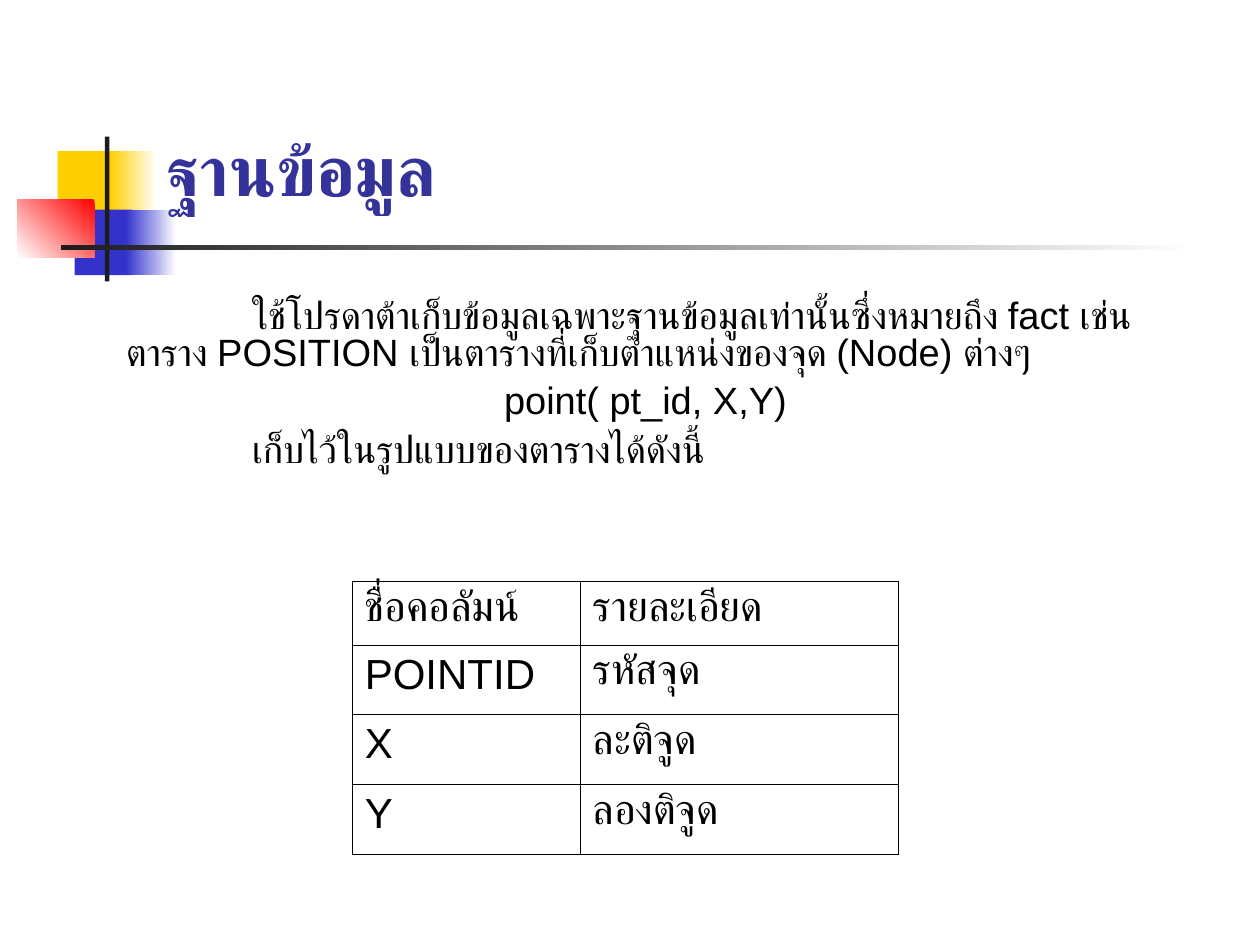
from lxml import etree
from pptx import Presentation
from pptx.dml.color import RGBColor
from pptx.enum import shapes, text
from pptx.oxml import ns
from pptx.util import Pt

WHITE = RGBColor(0xFF, 0xFF, 0xFF)
BLACK = RGBColor(0, 0, 0)
YELLOW = RGBColor(0xFF, 0xCF, 0x01)
BLUE = RGBColor(0x33, 0x33, 0xCC)
RED = RGBColor(0xFF, 0, 0)
DARK = RGBColor(0x1C, 0x1C, 0x1C)
NAVY = RGBColor(0x33, 0x33, 0x99)

BODY = [
    "\tใช้โปรดาต้าเก็บข้อมูลเฉพาะฐานข้อมูลเท่านั้นซึ่งหมายถึง fact เช่น "
    "ตาราง POSITION เป็นตารางที่เก็บตำแหน่งของจุด (Node) ต่างๆ",
    "\t\t\tpoint( pt_id, X,Y)",
    "\tเก็บไว้ในรูปแบบของตารางได้ดังนี้",
]
ROWS = [
    ("ชื่อคอลัมน์", "รายละเอียด"),
    ("POINTID", "รหัสจุด"),
    ("X", "ละติจูด"),
    ("Y", "ลองติจูด"),
]


def style(para, font, size, color, bold=False):
    para.font.name = font
    para.font.size = Pt(size)
    para.font.color.rgb = color
    para.font.bold = bold


def block(slide, box, color, fade=None, angle=180):
    """Add a borderless rectangle, filled plainly or from color to fade."""
    rect = slide.shapes.add_shape(shapes.MSO_SHAPE.RECTANGLE, *map(Pt, box))
    rect.shadow.inherit = False
    rect.line.fill.background()
    if fade is None:
        rect.fill.solid()
        rect.fill.fore_color.rgb = color
        return
    rect.fill.gradient()
    rect.fill.gradient_angle = angle
    for stop, tone, pos in zip(rect.fill.gradient_stops, (color, fade), (0, 1)):
        stop.color.rgb = tone
        stop.position = pos


def emblem(slide, x, y):
    """Place the overlapping squares, the upright bar and the fading rule."""
    parts = [
        (23, 8.3, 34.5, 37.5, YELLOW),
        (53.3, 8.3, 26, 37.5, WHITE, YELLOW),
        (32.7, 41.8, 33, 37.5, BLUE),
        (62, 41.8, 28.8, 37.5, WHITE, BLUE),
        (0, 36, 44, 33.2, RED, WHITE, 225),
        (50, 0, 2.5, 82.8, DARK),
        (24.9, 62, 648, 2.7, WHITE, DARK),
    ]
    for left, top, width, height, *paint in parts:
        block(slide, (x + left, y + top, width, height), *paint)


def frame(slide, box):
    area = slide.shapes.add_textbox(*map(Pt, box)).text_frame
    area.word_wrap = True
    return area


def title(slide, box):
    area = frame(slide, box)
    area.vertical_anchor = text.MSO_ANCHOR.BOTTOM
    area.text = "ฐานข้อมูล"
    style(area.paragraphs[0], "Lato", 40, NAVY, True)


def tabs(para, step, count):
    stops = etree.SubElement(para._p.get_or_add_pPr(), ns.qn("a:tabLst"))
    for i in range(1, count + 1):
        etree.SubElement(stops, ns.qn("a:tab"), pos=str(Pt(step * i)), algn="l")


def body(slide, box):
    area = frame(slide, box)
    area.text = "\n".join(BODY)
    for i, para in enumerate(area.paragraphs):
        tabs(para, 72, 3)
        para.line_spacing = 0.8
        para.space_before = Pt(7 if i else 0)
        style(para, "Arial", 21.7, BLACK)


def border(cell):
    props = cell._tc.get_or_add_tcPr()
    for i, side in enumerate(("lnL", "lnR", "lnT", "lnB")):
        line = etree.Element(ns.qn("a:" + side), w=str(Pt(0.45)))
        fill = etree.SubElement(line, ns.qn("a:solidFill"))
        etree.SubElement(fill, ns.qn("a:srgbClr"), val=str(BLACK))
        props.insert(i, line)


def columns(slide, x, y, widths, heights):
    """Add the table that describes the columns of the point data."""
    box = (x, y, sum(widths), sum(heights))
    grid = slide.shapes.add_table(len(ROWS), 2, *map(Pt, box)).table
    for col, width in zip(grid.columns, widths):
        col.width = Pt(width)
    for row, height, words in zip(grid.rows, heights, ROWS):
        row.height = Pt(height)
        for cell, word in zip(row.cells, words):
            cell.text = word
            cell.fill.background()
            style(cell.text_frame.paragraphs[0], "Arial", 24, BLACK)
            border(cell)


def main():
    deck = Presentation()
    deck.slide_width, deck.slide_height = Pt(720), Pt(540)
    slide = deck.slides.add_slide(deck.slide_layouts[6])
    emblem(slide, 10, 78)
    title(slide, (87.8, 60.2, 613.4, 63.4))
    body(slide, (64.9, 168.2, 601.2, 158.4))
    columns(slide, 201.3, 332.4, (130.3, 181.7), (36.2, 39.8, 39.8, 39.8))
    deck.save("out.pptx")


if __name__ == "__main__":
    main()
